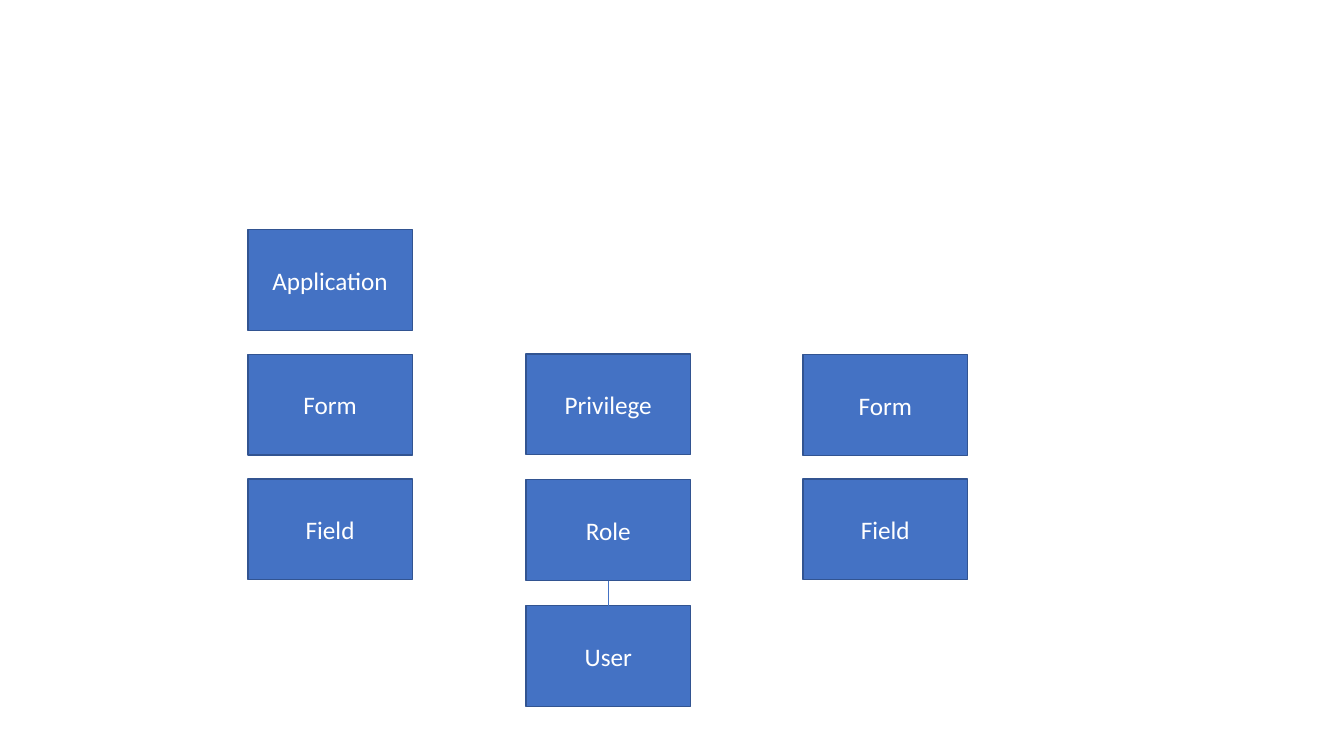
from lxml.etree import SubElement
from pptx import Presentation
from pptx.dml.color import RGBColor
from pptx.enum.shapes import MSO_CONNECTOR as Connector, MSO_SHAPE as Shape
from pptx.enum.text import MSO_ANCHOR as Anchor, PP_ALIGN as Align
from pptx.oxml.ns import qn
from pptx.util import Cm, Pt

BOX_WIDTH, BOX_HEIGHT = 4.14, 2.54
# left, top of the first box, distance from box to box, labels
COLUMNS = [
    (6.25, 5.79, 3.14, ["Application", "Form", "Field"]),
    (13.26, 8.92, 3.17, ["Privilege", "Role", "User"]),
    (20.24, 8.94, 3.13, ["Form", "Field"]),
]


def color(value):
    return RGBColor.from_string(value)


def write(frame, text, font="Calibri", size=18, ink="FFFFFF", align=Align.CENTER):
    para = frame.paragraphs[0]
    para.alignment = align
    span = para.add_run()
    span.text = text
    span.font.name = font
    span.font.size = Pt(size)
    span.font.color.rgb = color(ink)


class Diagram:
    fill = "4472C4"
    outline = "325491"

    def __init__(self, page):
        self.page = page

    def box(self, left, top, label):
        box = self.page.shapes.add_shape(
            Shape.RECTANGLE, Cm(left), Cm(top), Cm(BOX_WIDTH), Cm(BOX_HEIGHT))
        box.shadow.inherit = False
        box.fill.solid()
        box.fill.fore_color.rgb = color(self.fill)
        box.line.color.rgb = color(self.outline)
        box.line.width = Pt(1)
        box.text_frame.word_wrap = True
        box.text_frame.vertical_anchor = Anchor.MIDDLE
        write(box.text_frame, label)

    def vertical_line(self, x, top, length):
        line = self.page.shapes.add_connector(
            Connector.STRAIGHT, Cm(x), Cm(top), Cm(x), Cm(top + length))
        line.line.color.rgb = color(self.fill)
        line.line.width = Pt(0.5)
        SubElement(line._element.spPr, qn("a:effectLst"))


def main():
    deck = Presentation()
    deck.slide_width, deck.slide_height = Cm(33.87), Cm(19.05)
    diagram = Diagram(deck.slides.add_slide(deck.slide_layouts[6]))
    for left, top, step, labels in COLUMNS:
        for row, label in enumerate(labels):
            diagram.box(left, top + row * step, label)

    left, top, step, labels = COLUMNS[1]
    role_bottom = top + labels.index("Role") * step + BOX_HEIGHT
    diagram.vertical_line(left + BOX_WIDTH / 2, role_bottom, 1.27)
    deck.save("out.pptx")


if __name__ == "__main__":
    main()
